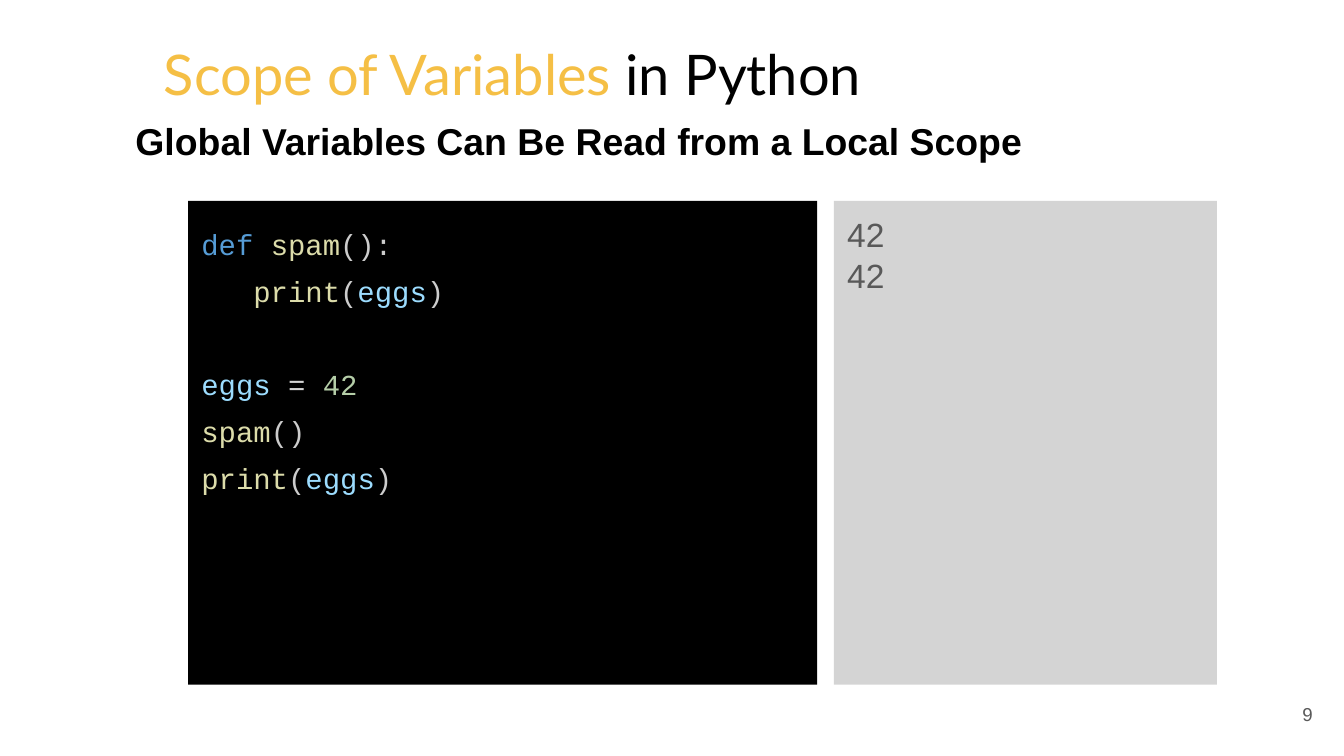
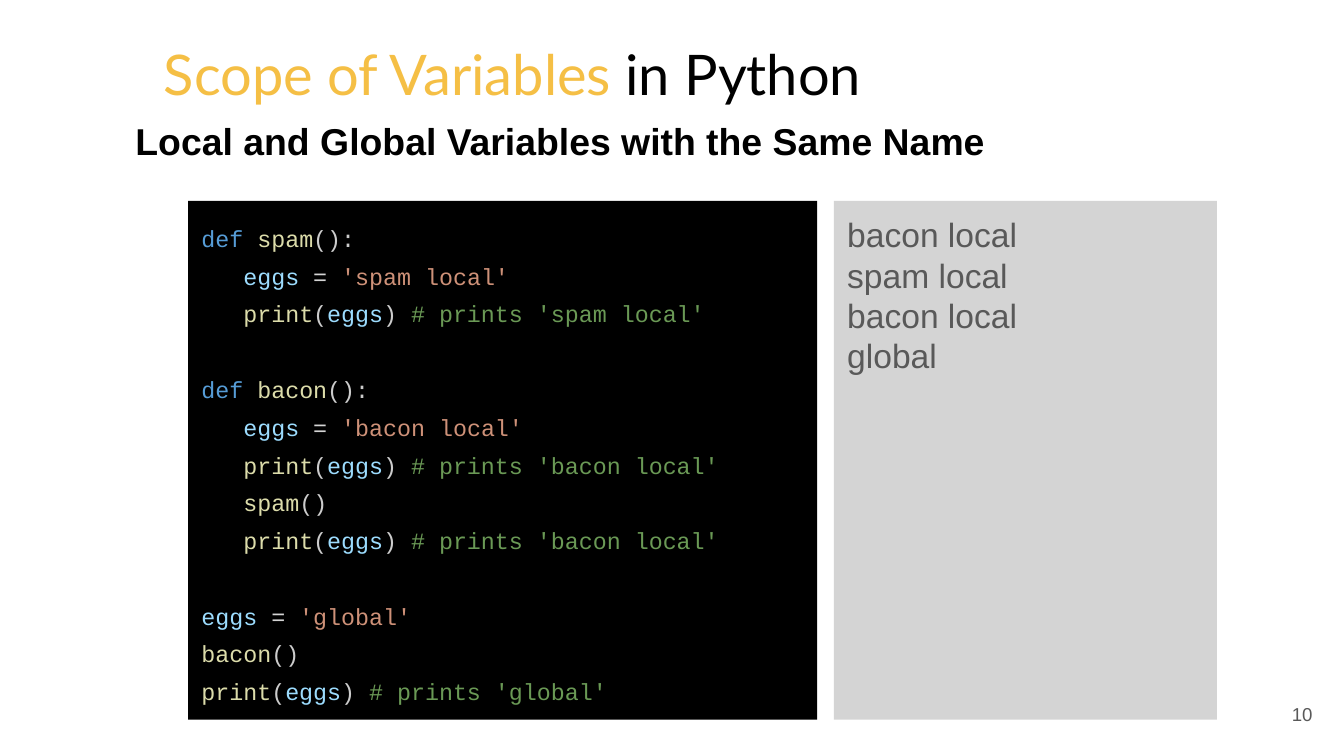
from lxml import etree
from pptx import Presentation
from pptx.dml.color import RGBColor
from pptx.enum.shapes import MSO_SHAPE as SHAPE
from pptx.enum.text import MSO_ANCHOR as ANCHOR, MSO_AUTO_SIZE as AUTO, PP_ALIGN as ALIGN
from pptx.oxml.ns import qn
from pptx.util import Emu, Pt

PX = 4572
INSET = 20
COLORS = {
    "accent": "F5BF45", "black": "000000", "grey": "595959", "panel": "D4D4D4",
    "keyword": "569CD6", "function": "DCDCAA", "plain": "CCCCCC", "name": "9CDCFE",
    "operator": "D4D4D4", "number": "B5CEA8", "string": "CE9178", "comment": "6A9955",
}
CODE_FONT = "Courier New"
CODE_SPACING = 1.35
PANEL_TOP = 299
INDENT = ("   ", "plain")


def px(*values):
    """Turn pixel lengths into EMU."""
    return [Emu(v * PX) for v in values]


def define(name):
    """Return the tokens of a function header."""
    return [("def ", "keyword"), (name, "function"), ("():", "plain")]


def call(name):
    """Return the tokens of a call without arguments."""
    return [(name, "function"), ("()", "plain")]


def assign(value, kind):
    """Return the tokens of an assignment to eggs."""
    return [("eggs ", "name"), ("= ", "operator"), (value, kind)]


def show(result=None):
    """Return the tokens that print eggs, with a comment on the result."""
    tokens = [("print", "function"), ("(", "plain"), ("eggs", "name")]
    if result is None:
        return tokens + [(")", "plain")]
    return tokens + [(") ", "plain"), (f"# prints '{result}'", "comment")]


def set_frame(tf, anchor=ANCHOR.TOP):
    """Give a text frame the shared insets, wrapping and anchor."""
    margins = {f"margin_{side}": Emu(INSET * PX) for side in ("left", "top", "right", "bottom")}
    for key, value in {"word_wrap": True, "auto_size": AUTO.NONE,
                       "vertical_anchor": anchor, **margins}.items():
        setattr(tf, key, value)


def add_lines(tf, lines, size, font="Arial", bold=False, align=ALIGN.LEFT, spacing=None):
    """Write lines of (text, colour) tokens, one paragraph each."""
    for i, tokens in enumerate(lines):
        p = tf.paragraphs[0] if i == 0 else tf.add_paragraph()
        p.alignment = align
        p.line_spacing = spacing
        for text, color in tokens:
            r = p.add_run()
            r.text = text
            for key, value in {"size": Pt(size), "name": font, "bold": bold}.items():
                setattr(r.font, key, value)
            r.font.color.rgb = RGBColor.from_string(COLORS[color])
        if not tokens:
            end = etree.SubElement(p._p, qn("a:endParaRPr"), sz=str(int(size * 100)))
            etree.SubElement(end, qn("a:latin"), typeface=font)


def add_title(s):
    """Place the shared two-colour title."""
    sp = s.shapes.title
    sp.left, sp.top, sp.width, sp.height = px(224, 57, 1668, 104)
    set_frame(sp.text_frame, ANCHOR.MIDDLE)
    add_lines(sp.text_frame, [[("Scope of Variables ", "accent"), ("in Python", "black")]], 30, "Lato")


def add_text(s, box, text, size, color, anchor=ANCHOR.TOP, **style):
    """Add a one-line text box."""
    tf = s.shapes.add_textbox(*px(*box)).text_frame
    set_frame(tf, anchor)
    add_lines(tf, [[(text, color)]], size, **style)


def add_panel(s, left, width, height, fill, lines, size, **style):
    """Add a filled rectangle with lines of text."""
    sp = s.shapes.add_shape(SHAPE.RECTANGLE, *px(left, PANEL_TOP, width, height))
    sp.shadow.inherit = False
    sp.fill.solid()
    sp.fill.fore_color.rgb = RGBColor.from_string(COLORS[fill])
    sp.line.fill.background()
    set_frame(sp.text_frame)
    add_lines(sp.text_frame, lines, size, **style)


def add_example(prs, number, heading, code, code_size, output, height):
    """Add a slide with a code panel and its printed output."""
    s = prs.slides.add_slide(prs.slide_layouts[5])
    add_text(s, (1853, 1020, 120, 86), str(number), 10, "grey", ANCHOR.MIDDLE, align=ALIGN.RIGHT)
    add_title(s)
    add_text(s, (182, 156, 1708, 130), heading, 20, "black", bold=True)
    add_panel(s, 280, 936, height, "black", code, code_size, font=CODE_FONT, spacing=CODE_SPACING)
    add_panel(s, 1241, 570, height, "panel", [[(line, "grey")] for line in output], 18)


def main():
    """Build and save the presentation."""
    prs = Presentation()
    prs.slide_width, prs.slide_height = px(2000, 1125)
    add_example(
        prs, 9, "Global Variables Can Be Read from a Local Scope",
        [define("spam"), [INDENT] + show(), [], assign("42", "number"), call("spam"), show()],
        15.5, ["42", "42"], 720)
    add_example(
        prs, 10, "Local and Global Variables with the Same Name",
        [define("spam"),
         [INDENT] + assign("'spam local'", "string"),
         [INDENT] + show("spam local"),
         [],
         define("bacon"),
         [INDENT] + assign("'bacon local'", "string"),
         [INDENT] + show("bacon local"),
         [INDENT] + call("spam"),
         [INDENT] + show("bacon local"),
         [],
         assign("'global'", "string"),
         call("bacon"),
         show("global")],
        12.5, ["bacon local", "spam local", "bacon local", "global"], 772)
    prs.save("out.pptx")


if __name__ == "__main__":
    main()
